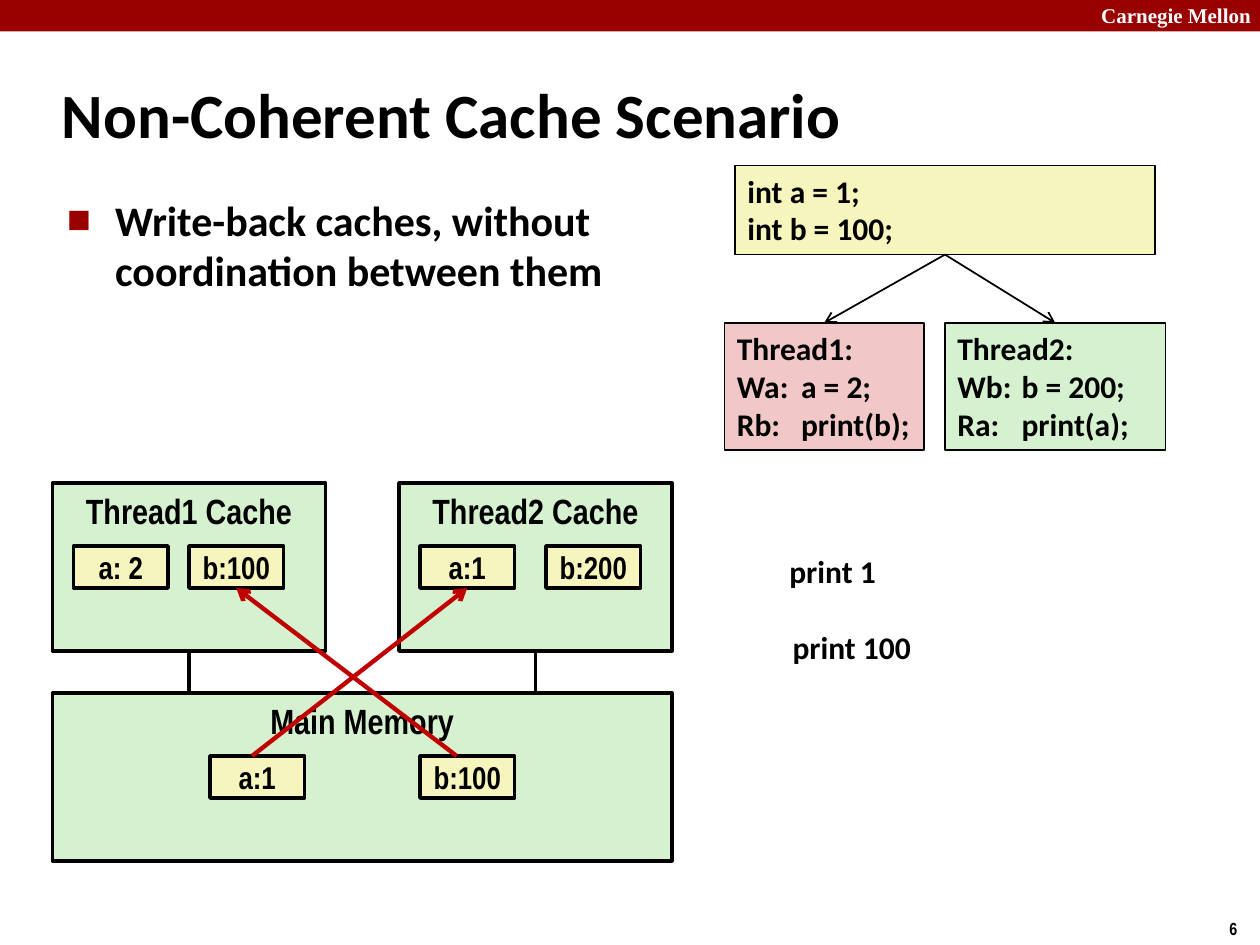
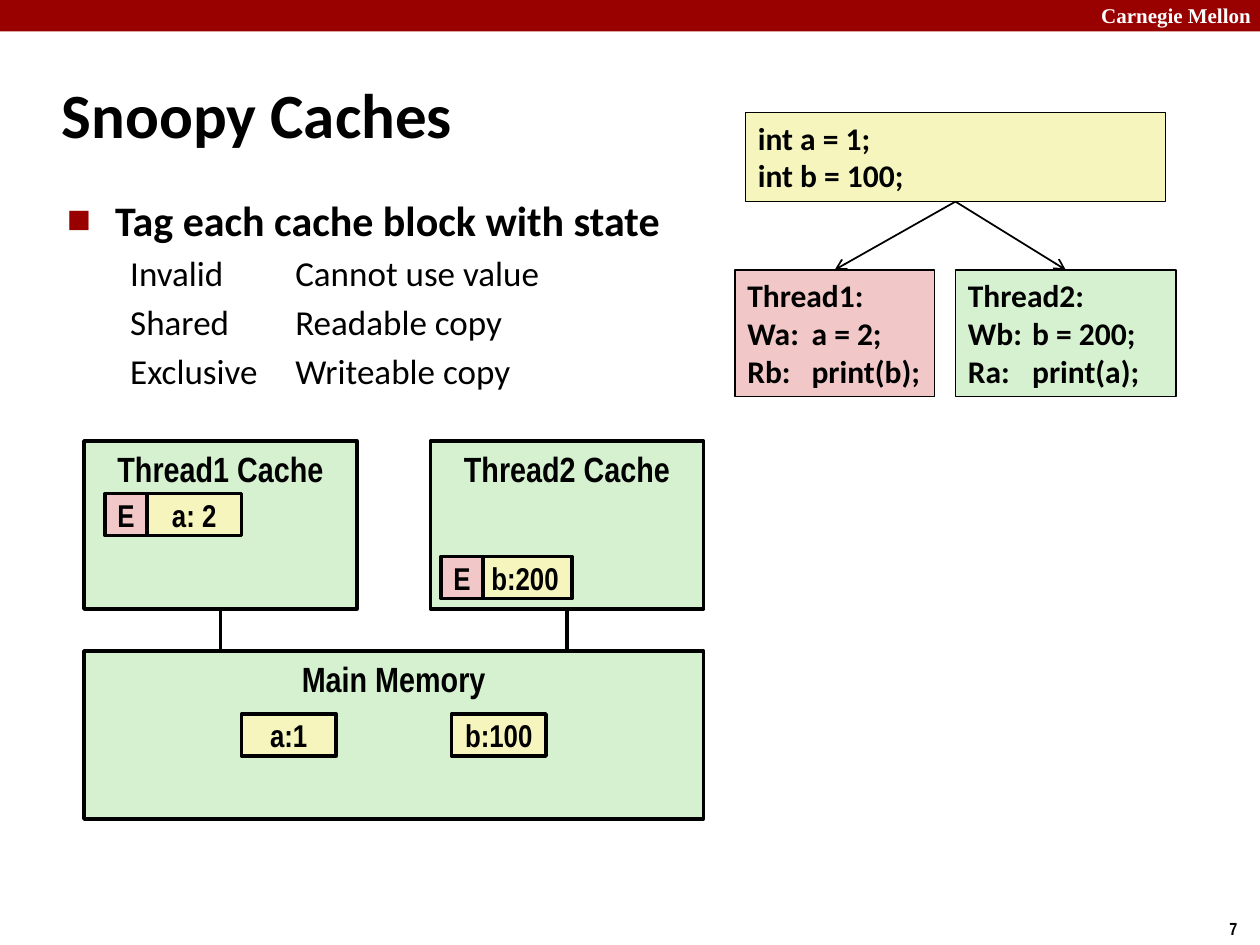
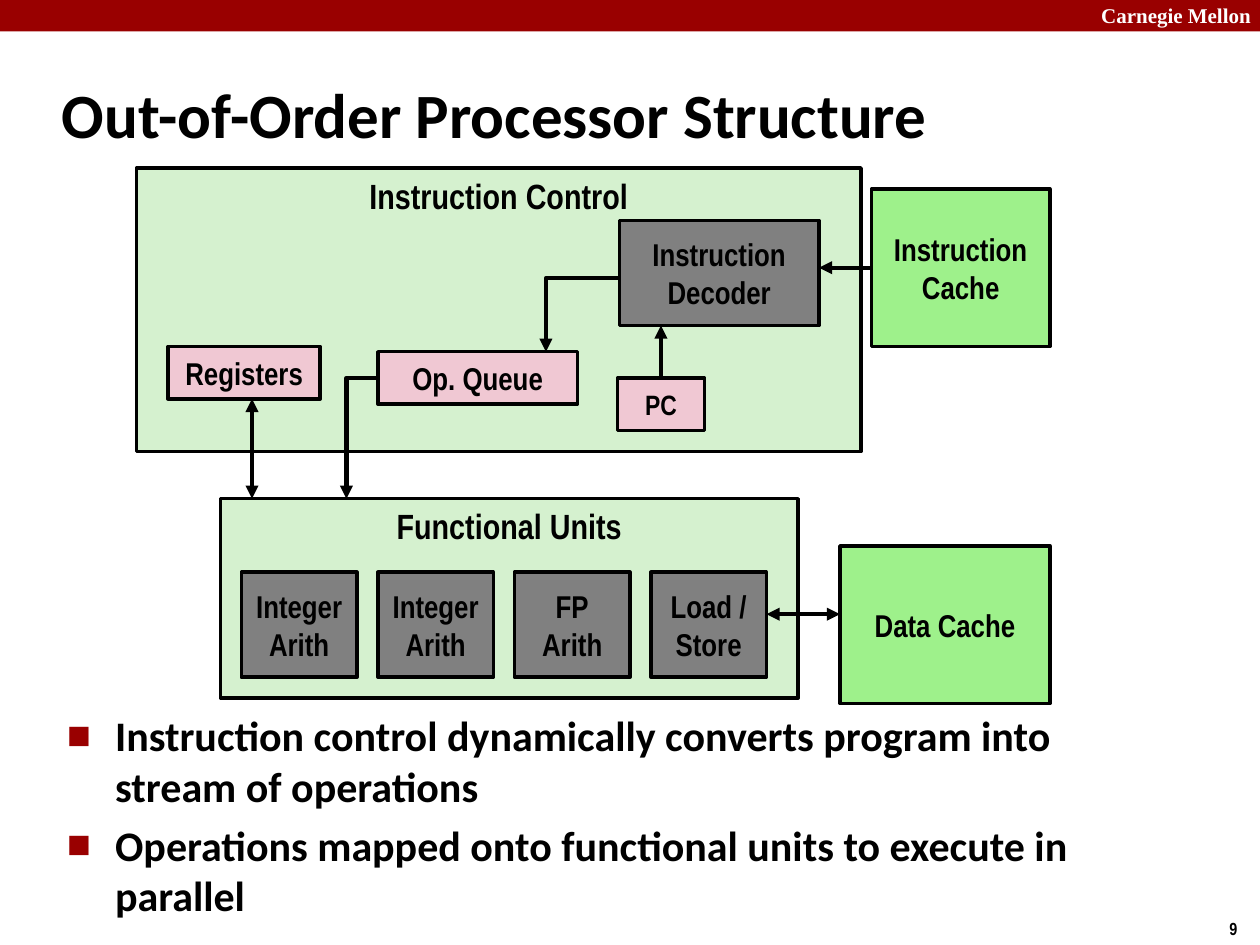
from lxml import etree
from pptx import Presentation, util as u
from pptx.dml.color import RGBColor
from pptx.enum import shapes, text
from pptx.oxml.ns import qn

COLS, ROWS = 120, 90
BLACK, WHITE, BRAND, ARROW_RED = "000000", "FFFFFF", "990000", "C00000"
GREEN, YELLOW, PINK, ROSE = "D5F1CF", "F6F5BD", "F1C7C7", "F0C8D3"
GRAY, BRIGHT_GREEN = "808080", "9EF18B"
BODY_FONT, DIAGRAM_FONT, BRAND_FONT = "Calibri", "Arial Narrow", "Times New Roman"
TOP, LEFT, BOTTOM = 0, 1, 2
MIDDLE = text.MSO_ANCHOR.MIDDLE
UPPER = text.MSO_ANCHOR.TOP


def rgb(hex_code):
    return RGBColor.from_string(hex_code)


def child(parent, tag, **attributes):
    return etree.SubElement(parent, qn(tag), attributes)


def write(frame, lines, size=18, font=BODY_FONT, color=BLACK, bold=True,
          align=text.PP_ALIGN.LEFT, anchor=UPPER, wrap=True, tab=None):
    """Fill a text frame with one paragraph per line, all in one format."""
    frame.word_wrap = wrap
    frame.auto_size = text.MSO_AUTO_SIZE.NONE
    frame.vertical_anchor = anchor
    for index, line in enumerate(lines):
        paragraph = frame.add_paragraph() if index else frame.paragraphs[0]
        if tab:
            tabs = child(paragraph._p.get_or_add_pPr(), "a:tabLst")
            child(tabs, "a:tab", pos=str(u.Inches(tab)), algn="l")
        paragraph.text = line
        paragraph.alignment = align
        style(paragraph, size, font, color, bold)


def style(paragraph, size, font, color, bold):
    paragraph.font.size = u.Pt(size)
    paragraph.font.name = font
    paragraph.font.bold = bold
    paragraph.font.color.rgb = rgb(color)


class Deck:
    """Holds the presentation, its grid and style, and the current slide."""

    def __init__(self):
        self.file = Presentation()
        self.file.slide_width, self.file.slide_height = u.Inches(10), u.Inches(7.5)
        self.slide = None

    def x(self, cols):
        return round(self.file.slide_width * cols / COLS)

    def y(self, rows):
        return round(self.file.slide_height * rows / ROWS)

    def area(self, left, top, width, height):
        return self.x(left), self.y(top), self.x(width), self.y(height)

    def place(self, item, *area):
        item.left, item.top, item.width, item.height = self.area(*area)

    def new_slide(self, title, number, title_width=99.6):
        is_first = self.slide is None
        self.slide = self.file.slides.add_slide(self.file.slide_layouts[1])
        if is_first:
            self.brand_master()
        heading = self.slide.shapes.title
        self.place(heading, 4.7, 5.8, title_width, 10)
        write(heading.text_frame, [title], size=36, anchor=MIDDLE)
        self.label(115.9, 86.8, 4.1, 3.2, str(number), size=10,
                   font=DIAGRAM_FONT, wrap=False)

    def brand_master(self):
        """Put the band and the university's name on the slide master."""
        band = self.box(0, 0, COLS, 3, [], BRAND, line=None)
        university = self.label(103.7, -0.3, 17.1, 3.6, "Carnegie Mellon", size=12,
                                font=BRAND_FONT, color=WHITE)
        for part in (band, university):
            part.element.nvSpPr.cNvPr.id += 20
            self.file.slide_master.shapes.element.append(part.element)

    def bullets(self, area, points, details=()):
        """Fill the body with bulleted points, then plain indented details."""
        body = self.slide.placeholders[1]
        self.place(body, *area)
        frame = body.text_frame
        frame.auto_size = text.MSO_AUTO_SIZE.NONE
        entries = [(point, 0) for point in points] + [(detail, 1) for detail in details]
        for index, (line, level) in enumerate(entries):
            paragraph = frame.add_paragraph() if index else frame.paragraphs[0]
            size, margin, hang = ((24, 0.38, 0.38), (20, 0.81, 0.31))[level]
            props = paragraph._p.get_or_add_pPr()
            props.set("marL", str(u.Inches(margin)))
            props.set("indent", str(-u.Inches(hang)))
            props.set("defTabSz", str(u.Inches(1)))
            if level:
                child(props, "a:buNone")
            else:
                child(child(props, "a:buClr"), "a:srgbClr", val=BRAND)
                child(props, "a:buSzPct", val="60000")
                child(props, "a:buFont", typeface=BODY_FONT)
                child(props, "a:buChar", char="■")
            paragraph.text = line
            paragraph.level = level
            paragraph.space_before = u.Pt(size * 0.2 if index else 0)
            style(paragraph, size, BODY_FONT, BLACK, bold=not level)

    def label(self, left, top, width, height, line, **fmt):
        label = self.slide.shapes.add_textbox(*self.area(left, top, width, height))
        write(label.text_frame, [line], **fmt)
        return label

    def box(self, left, top, width, height, lines, fill, line=2, **fmt):
        box = self.slide.shapes.add_shape(shapes.MSO_SHAPE.RECTANGLE,
                                          *self.area(left, top, width, height))
        box.shadow.inherit = False
        box.fill.solid()
        box.fill.fore_color.rgb = rgb(fill)
        if line:
            box.line.width = u.Pt(line)
            box.line.color.rgb = rgb(BLACK)
        else:
            box.line.fill.background()
        write(box.text_frame, lines, **fmt)
        return box

    def block(self, left, top, width, height, lines, fill, **fmt):
        """Draw a diagram block with centred text."""
        fmt = {"anchor": MIDDLE, "font": DIAGRAM_FONT, **fmt}
        return self.box(left, top, width, height, lines, fill,
                        align=text.PP_ALIGN.CENTER, **fmt)

    def container(self, left, top, width, height, title):
        return self.block(left, top, width, height, [title], GREEN,
                          size=20, anchor=UPPER)

    def cell(self, left, top, value, fill=YELLOW, width=9):
        return self.block(left, top, width, 4, [value], fill, wrap=False)

    def line(self, start, end, width=2.5, color=BLACK, head=None, tail=None,
             bent=False):
        """Join two ends, each a (column, row) point or a (shape, side) pair."""
        points = [(0, 0) if hasattr(at[0], "shape_id") else at for at in (start, end)]
        (x1, y1), (x2, y2) = points
        kind = shapes.MSO_CONNECTOR.ELBOW if bent else shapes.MSO_CONNECTOR.STRAIGHT
        line = self.slide.shapes.add_connector(
            kind, self.x(x1), self.y(y1), self.x(x2), self.y(y2))
        for at, connect in ((start, line.begin_connect), (end, line.end_connect)):
            if hasattr(at[0], "shape_id"):
                connect(*at)
        line.line.width = u.Pt(width)
        line.line.color.rgb = rgb(color)
        props = line.element.spPr
        if bent:
            props.find(qn("a:prstGeom")).set("prst", "bentConnector2")
        for tag, arrow in (("a:headEnd", head), ("a:tailEnd", tail)):
            if arrow:
                child(props.find(qn("a:ln")), tag, type=arrow)
        child(props, "a:effectLst")

    def thread_code(self, left, top):
        """Draw the shared variables and the two threads that use them."""
        shared = self.box(left + 1, top, 40, 8.5, ["int a = 1;", "int b = 100;"],
                          YELLOW, line=0.75)
        threads = (
            (0, 19, PINK, ["Thread1:", "Wa:\ta = 2;", "Rb: \tprint(b);"]),
            (21, 21, GREEN, ["Thread2:", "Wb:\tb = 200;", "Ra:\tprint(a);"]),
        )
        for offset, width, fill, code in threads:
            thread = self.box(left + offset, top + 15, width, 12.1, code, fill,
                              line=0.75, tab=0.51)
            self.line((shared, BOTTOM), (thread, TOP), width=1, tail="arrow")

    def memory_system(self, left, top):
        """Draw main memory with its two values under the two thread caches."""
        self.container(left, top + 20, 59, 16, "Main Memory")
        for offset, value in ((15, "a:1"), (35, "b:100")):
            self.cell(left + offset, top + 26, value)
        for offset, title in ((0, "Thread1 Cache"), (33, "Thread2 Cache")):
            cache = self.container(left + offset, top, 26, 16, title)
            self.line((left + offset + 13, top + 20), (cache, BOTTOM), width=2)


def non_coherent_slide(deck):
    deck.new_slide("Non-Coherent Cache Scenario", 6)
    deck.bullets((5.2, 17.9, 55.8, 21.1),
                 ["Write-back caches, without coordination between them"])
    deck.memory_system(5, 46)
    deck.cell(7, 52, "a: 2")
    deck.cell(52, 52, "b:200")
    stale_a = deck.cell(40, 52, "a:1")
    stale_b = deck.cell(18, 52, "b:100")
    for column, stale in ((24, stale_a), (43.5, stale_b)):
        deck.line((column, 72), (stale, BOTTOM), color=ARROW_RED, tail="arrow")
    deck.label(74, 52, 10.7, 4.8, "print 1", wrap=False)
    deck.label(74.3, 59.2, 13.8, 4.8, "print 100", wrap=False)
    deck.thread_code(69, 15.75)


def snoopy_slide(deck):
    deck.new_slide("Snoopy Caches", 7)
    deck.bullets((5.2, 17.9, 103.7, 8.2), ["Tag each cache block with state"],
                 ["Invalid\tCannot use value", "Shared\tReadable copy",
                  "Exclusive\tWriteable copy"])
    deck.memory_system(8, 42)
    for tag_left, value_left, top, value in ((10, 14, 47, "a: 2"),
                                             (42, 45.5, 53, "b:200")):
        deck.cell(value_left, top, value)
        deck.cell(tag_left, top, "E", fill=PINK, width=4)
    deck.thread_code(70, 10.7)


def processor_slide(deck):
    deck.new_slide("Out-of-Order Processor Structure", 9, title_width=108.4)
    deck.bullets((5.2, 67, 103.8, 16.1), [
        "Instruction control dynamically converts program into stream of operations",
        "Operations mapped onto functional units to execute in parallel"])
    deck.container(21, 47.5, 55, 19, "Functional Units")
    units = (["Integer", "Arith"], ["Integer", "Arith"], ["FP", "Arith"],
             ["Load /", "Store"])
    for index, unit in enumerate(units):
        deck.block(23 + 13 * index, 54.5, 11, 10, unit, GRAY)
    deck.container(13, 16, 69, 27, "Instruction Control")
    deck.block(16, 33, 14.5, 5, ["Registers"], ROSE)
    deck.block(59, 21, 19, 10, ["Instruction Decoder"], GRAY)
    deck.block(36, 33.5, 19, 5, ["Op. Queue"], ROSE)
    deck.block(80, 52, 20, 15, ["Data Cache"], BRIGHT_GREEN)
    instruction_cache = deck.block(83, 18, 17, 15, ["Instruction", "Cache"],
                                   BRIGHT_GREEN)
    counter = deck.block(58.8, 36, 8.3, 5, ["PC"], ROSE, size=16)
    deck.line((80, 58.5), (73, 58.5), head="triangle", tail="triangle")
    deck.line((24, 38), (24, 47.5), head="triangle", tail="triangle")
    deck.line((instruction_cache, LEFT), (78, 25.5), tail="triangle")
    deck.line((counter, TOP), (62.95, 31), tail="triangle")
    deck.line((36, 36), (33, 47.5), tail="triangle", bent=True)
    deck.line((59, 26.5), (52, 33.5), tail="triangle", bent=True)


def main():
    deck = Deck()
    non_coherent_slide(deck)
    snoopy_slide(deck)
    processor_slide(deck)
    deck.file.save("out.pptx")


if __name__ == "__main__":
    main()
